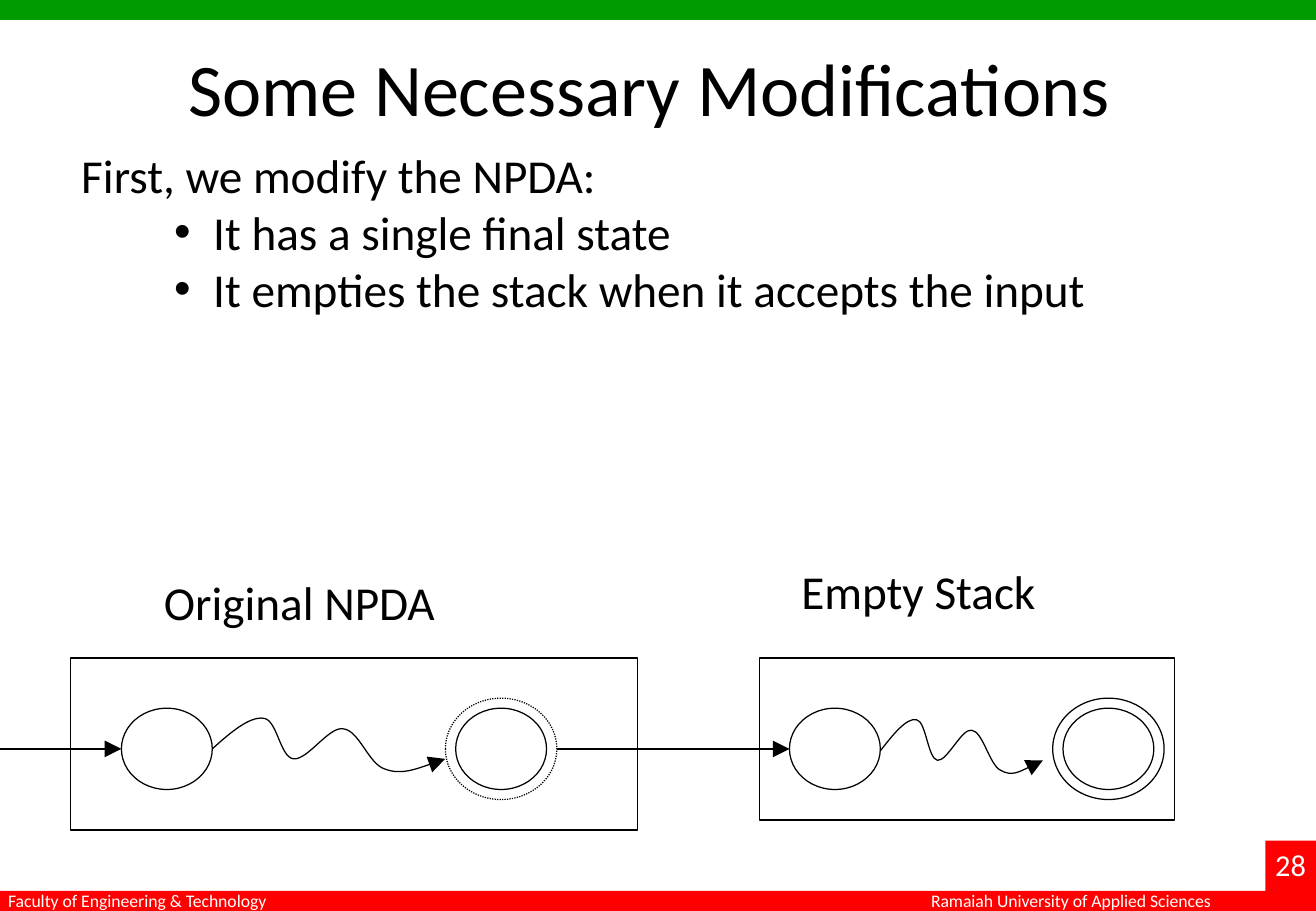
from pptx import Presentation
from pptx.dml.color import RGBColor
from pptx.enum.dml import MSO_LINE
from pptx.enum.shapes import MSO_CONNECTOR, MSO_SHAPE
from pptx.enum.text import MSO_ANCHOR, PP_ALIGN
from pptx.oxml.ns import qn
from pptx.util import Cm, Pt
from lxml import etree

RECT, OVAL = MSO_SHAPE.RECTANGLE, MSO_SHAPE.OVAL
STRAIGHT = MSO_CONNECTOR.STRAIGHT
DOTTED = MSO_LINE.ROUND_DOT
LEFT, CENTER = PP_ALIGN.LEFT, PP_ALIGN.CENTER
TOP = MSO_ANCHOR.TOP

BLACK, WHITE, GREEN, RED = "000000", "FFFFFF", "009900", "FF0000"
WIDTH, HEIGHT, BAR = 27.52, 19.05, 0.42
AXIS = 15.66
STATE, RING = (1.9, 1.7), (2.33, 2.12)
WAVE = [
    (0.08, -0.35), (0.16, -0.68), (0.22, -0.64),
    (0.28, -0.61), (0.29, 0.18), (0.35, 0.21),
    (0.41, 0.23), (0.5, -0.46), (0.56, -0.42),
    (0.63, -0.4), (0.67, 0.31), (0.74, 0.42),
    (0.81, 0.55), (0.91, 0.37), (1, 0.21),
]


def color(value):
    return RGBColor.from_string(value)


class AutomatonSlide:
    """Draws bars, text, states and transitions in one style on a slide."""

    def __init__(self, slide):
        self.slide = slide
        self.shapes = slide.shapes
        self.font = "Calibri"
        self.stroke = Pt(0.75)

    def outline(self, line, dash=None):
        line.color.rgb = color(BLACK)
        line.width = self.stroke
        if dash is not None:
            line.dash_style = dash

    def arrowhead(self, line_element):
        etree.SubElement(line_element, qn("a:tailEnd"), type="triangle", w="lg", len="lg")

    def bar(self, x, y, w, h, fill):
        bar = self.shapes.add_shape(RECT, Cm(x), Cm(y), Cm(w), Cm(h))
        bar.shadow.inherit = False
        bar.fill.solid()
        bar.fill.fore_color.rgb = color(fill)
        bar.line.fill.background()

    def outlined(self, kind, x, y, w, h, dash=None):
        figure = self.shapes.add_shape(kind, Cm(x), Cm(y), Cm(w), Cm(h))
        figure.shadow.inherit = False
        figure.fill.background()
        self.outline(figure.line, dash)

    def state(self, center, size=STATE, dash=None):
        w, h = size
        self.outlined(OVAL, center - w / 2, AXIS - h / 2, w, h, dash)

    def text(self, x, y, w, h, lines, size, ink=BLACK, align=LEFT, wrap=False, inset=0.25):
        box = self.shapes.add_textbox(Cm(x), Cm(y), Cm(w), Cm(h))
        frame = box.text_frame
        layout = {"word_wrap": wrap, "vertical_anchor": TOP,
                  "margin_left": Cm(inset), "margin_right": Cm(inset)}
        for name, value in layout.items():
            setattr(frame, name, value)
        for index, (wording, bulleted) in enumerate(lines):
            paragraph = frame.paragraphs[0] if index == 0 else frame.add_paragraph()
            paragraph.text = wording
            paragraph.alignment = align
            if bulleted:
                self.bullet(paragraph)
            for name, value in {"name": self.font, "size": Pt(size)}.items():
                setattr(paragraph.font, name, value)
            paragraph.font.color.rgb = color(ink)

    def bullet(self, paragraph):
        properties = paragraph._p.get_or_add_pPr()
        for name, value in {"marL": Cm(2.76), "indent": Cm(-0.82), "lvl": 1}.items():
            properties.set(name, str(int(value)))
        etree.SubElement(properties, qn("a:buFont"), typeface="Arial")
        etree.SubElement(properties, qn("a:buChar"), char="•")

    def arrow(self, start, end):
        arrow = self.shapes.add_connector(STRAIGHT, Cm(start), Cm(AXIS), Cm(end), Cm(AXIS))
        self.outline(arrow.line)
        self.arrowhead(arrow.line._get_or_add_ln())
        etree.SubElement(arrow._element.spPr, qn("a:effectLst"))

    def wave(self, x, y, w):
        builder = self.shapes.build_freeform(Cm(x), Cm(y))
        builder.add_line_segments(
            [(Cm(x + along * w), Cm(y + rise)) for along, rise in WAVE], close=False)
        wave = builder.convert_to_shape()
        wave.shadow.inherit = False
        wave.fill.background()
        self.outline(wave.line)
        self.arrowhead(wave.line._get_or_add_ln())
        outline = wave._element.xpath(".//a:path")[0]
        segments = outline.findall(qn("a:lnTo"))
        for first in range(0, len(segments), 3):
            curve = etree.SubElement(outline, qn("a:cubicBezTo"))
            for segment in segments[first:first + 3]:
                curve.append(segment[0])
                outline.remove(segment)


def main():
    deck = Presentation()
    deck.slide_width, deck.slide_height = Cm(WIDTH), Cm(HEIGHT)
    page = AutomatonSlide(deck.slides.add_slide(deck.slide_layouts[6]))

    page.bar(0, 0, WIDTH, BAR, GREEN)
    page.bar(0, HEIGHT - BAR, WIDTH, BAR, RED)
    page.bar(26.46, 17.58, 1.06, 1.47, RED)
    page.text(19.22, 18.49, 6.5, 0.71,
              [("Ramaiah University of Applied Sciences", False)], 10.5, WHITE)
    page.text(26.46, 17.58, 1.06, 1.02, [("28", False)], 18, WHITE, CENTER, inset=0)
    page.text(-0.08, 18.49, 6.05, 0.71,
              [("Faculty of Engineering & Technology", False)], 10.5, WHITE)

    page.text(1.2, 0.76, 24.76, 3.1,
              [("Some Necessary Modifications", False)], 44, align=CENTER, wrap=True)
    page.text(1.45, 2.94, 24.69, 3.84, [
        ("First, we modify the NPDA:", False),
        ("It has a single final state", True),
        ("It empties the stack when it accepts the input", True),
    ], 28, wrap=True)

    page.outlined(RECT, 1.48, 13.76, 11.86, 3.6)
    page.outlined(RECT, 15.88, 13.76, 8.68, 3.39)
    page.text(3.18, 11.86, 6.25, 1.45, [("Original NPDA", False)], 28)
    page.text(16.51, 11.63, 5.46, 1.45, [("Empty Stack", False)], 28)

    for center in (3.49, 10.48, 17.46, 23.18):
        page.state(center)
    page.state(10.48, RING, DOTTED)
    page.state(23.18, RING)

    page.wave(4.44, AXIS, 4.87)
    page.wave(18.42, AXIS + 0.03, 3.39)
    page.arrow(0, 2.54)
    page.arrow(11.64, 16.51)
    deck.save("out.pptx")


if __name__ == "__main__":
    main()
